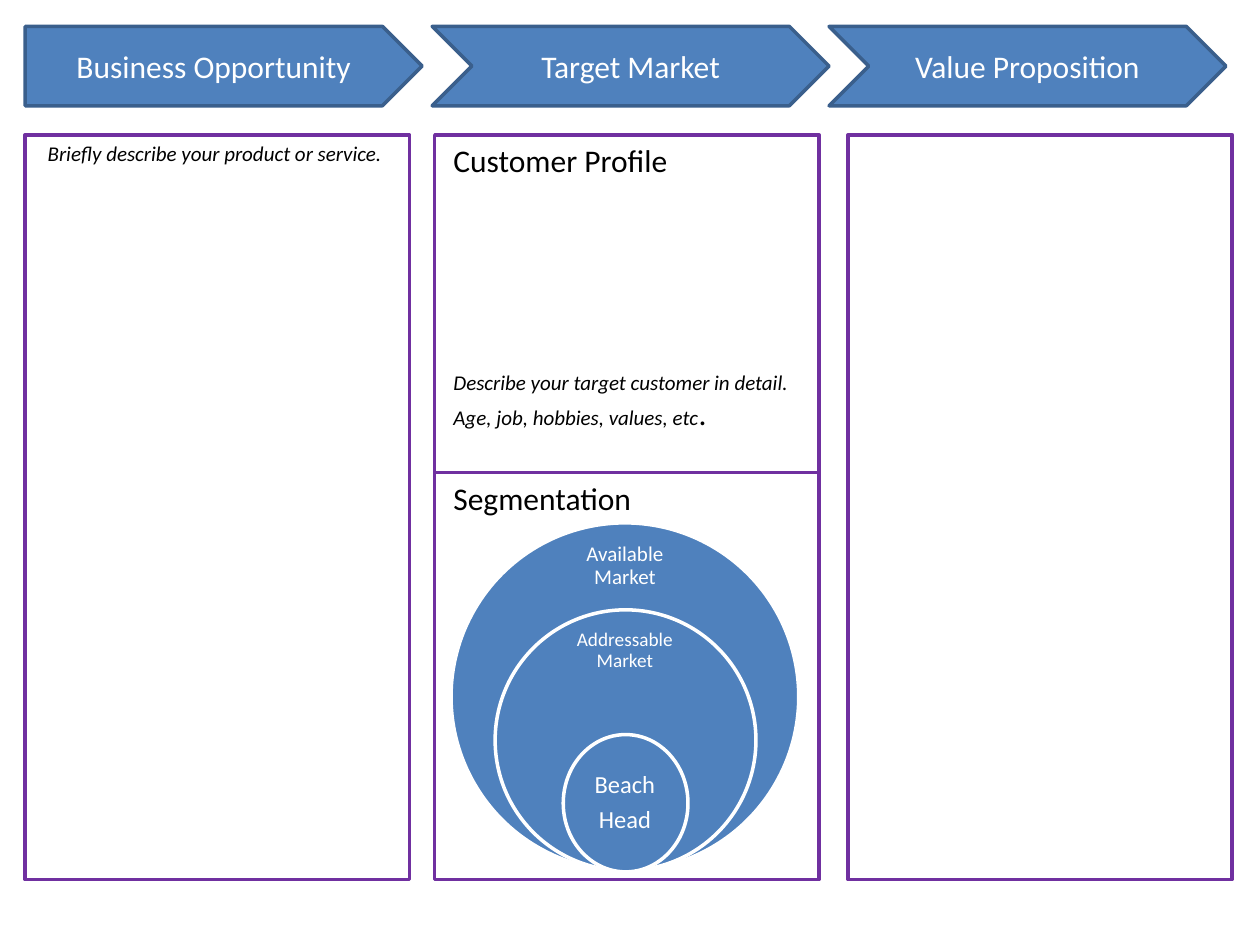
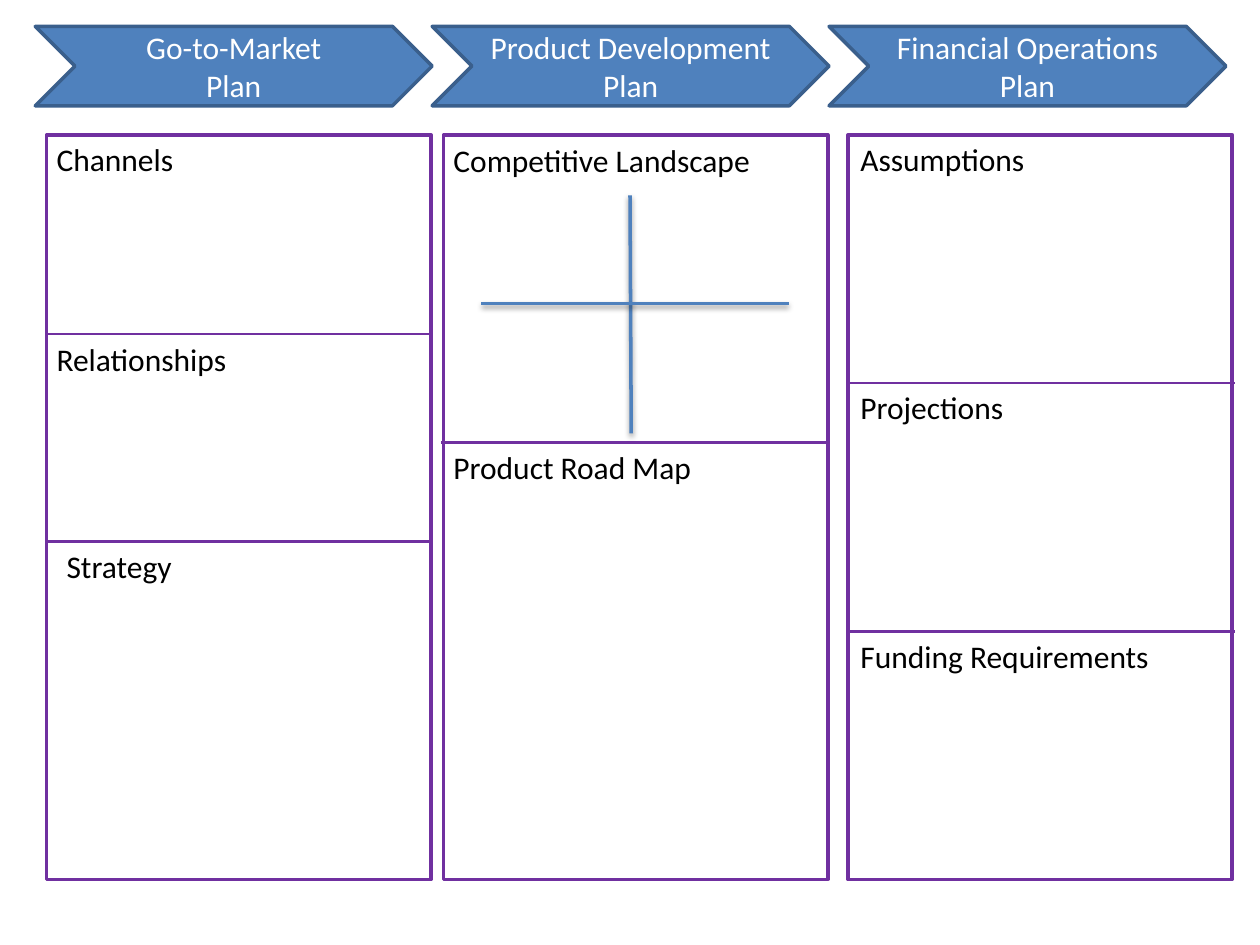
from lxml import etree
from pptx import Presentation
from pptx.dml.color import RGBColor
from pptx.enum.shapes import MSO_CONNECTOR, MSO_SHAPE
from pptx.enum.text import MSO_ANCHOR, MSO_AUTO_SIZE, PP_ALIGN
from pptx.oxml.ns import qn
from pptx.util import Emu, Pt

PX = 9144  # 100 px to the inch
FONT = "Calibri"
BLUE = RGBColor(0x4F, 0x81, 0xBD)
DARK_BLUE = RGBColor(0x3A, 0x5F, 0x8C)
PURPLE = RGBColor(0x70, 0x30, 0xA0)
WHITE = RGBColor(0xFF, 0xFF, 0xFF)
BLACK = RGBColor(0x00, 0x00, 0x00)

BANNER_TOP, BANNER_WIDTH, BANNER_HEIGHT = 21, 315, 63
PANEL_TOP, PANEL_WIDTH, PANEL_HEIGHT = 107, 305, 591
LABEL_INSET = 8


def px(*lengths):
    return [Emu(length * PX) for length in lengths]


def format_spans(para, size, color, italic=False):
    for span in para.runs:
        span.font.name = FONT
        span.font.size = Pt(size)
        span.font.color.rgb = color
        span.font.italic = italic


def add_outlined(page, kind, place, line_color, fill=None):
    shape = page.shapes.add_shape(kind, *px(*place))
    shape.shadow.inherit = False
    if fill is None:
        shape.fill.background()
    else:
        shape.fill.solid()
        shape.fill.fore_color.rgb = fill
    shape.line.color.rgb = line_color
    shape.line.width = Pt(2)
    return shape


def add_banner(page, left, title, kind=MSO_SHAPE.CHEVRON):
    place = (left, BANNER_TOP, BANNER_WIDTH, BANNER_HEIGHT)
    banner = add_outlined(page, kind, place, DARK_BLUE, BLUE)
    frame = banner.text_frame
    frame.text = title
    frame.word_wrap = True
    frame.vertical_anchor = MSO_ANCHOR.MIDDLE
    for para in frame.paragraphs:
        para.alignment = PP_ALIGN.CENTER
        format_spans(para, 18, WHITE)


def add_panel(page, left):
    place = (left, PANEL_TOP, PANEL_WIDTH, PANEL_HEIGHT)
    add_outlined(page, MSO_SHAPE.RECTANGLE, place, PURPLE)


def add_line(page, start, end, color, width):
    """Draw a straight line and return its empty effect list."""
    line = page.shapes.add_connector(MSO_CONNECTOR.STRAIGHT, *px(*start, *end))
    line.line.color.rgb = color
    line.line.width = Pt(width)
    return etree.SubElement(line._element.spPr, qn("a:effectLst"))


def add_divider(page, left, right, top):
    add_line(page, (left, top), (right, top), PURPLE, 1.5)


def add_axis(page, start, end):
    """Draw a blue line with a soft shadow below it."""
    effects = add_line(page, start, end, BLUE, 2)
    shadow = etree.SubElement(effects, qn("a:outerShdw"), blurRad=str(Pt(3.1)),
                              dist=str(Pt(1.6)), dir="5400000", rotWithShape="0")
    color = etree.SubElement(shadow, qn("a:srgbClr"), val=str(BLACK))
    etree.SubElement(color, qn("a:alpha"), val="38000")


def add_text(page, place, text, size=18, italic=False):
    box = page.shapes.add_textbox(*px(*place))
    frame = box.text_frame
    frame.text = text
    frame.word_wrap = True
    frame.auto_size = MSO_AUTO_SIZE.SHAPE_TO_FIT_TEXT
    format_spans(frame.paragraphs[0], size, BLACK, italic)
    return frame.paragraphs[0]


def add_heading(page, left, top, text):
    add_text(page, (left, top, 299, 40), text)


def add_market_circle(page, circle, label, text, size):
    add_outlined(page, MSO_SHAPE.OVAL, circle, WHITE, BLUE)
    frame = page.shapes.add_textbox(*px(*label)).text_frame
    frame.text = text
    frame.word_wrap = True
    frame.vertical_anchor = MSO_ANCHOR.MIDDLE
    frame.margin_left = frame.margin_right = Emu(LABEL_INSET * PX)
    frame.margin_top = frame.margin_bottom = Emu(LABEL_INSET * PX)
    for para in frame.paragraphs:
        para.alignment = PP_ALIGN.CENTER
        para.line_spacing = 0.9
        para.space_after = Pt(round(size * 0.35, 1))
        format_spans(para, size, WHITE)


def build_market_page(page):
    add_banner(page, 20, "Business Opportunity", MSO_SHAPE.PENTAGON)
    add_banner(page, 343, "Target Market")
    add_banner(page, 658, "Value Proposition")
    for left in (20, 345, 673):
        add_panel(page, left)

    add_market_circle(page, (358, 415, 276, 276), (448, 429, 96, 41), "Available Market", 12)
    add_market_circle(page, (393, 484, 207, 207), (448, 497, 96, 39), "Addressable Market", 11)
    add_market_circle(page, (447, 583, 99, 109), (456, 610, 80, 55), "Beach\nHead", 14)

    add_heading(page, 350, 107, "Customer Profile")
    hint = add_text(page, (350, 288, 291, 61),
                    "Describe your target customer in detail. Age, job, hobbies, values, etc", 12, True)
    stop = hint.add_run()
    stop.text = "."
    stop.font.name = FONT
    stop.font.size = Pt(18)
    stop.font.color.rgb = BLACK
    add_divider(page, 345, 650, 375)
    add_heading(page, 350, 375, "Segmentation")
    add_text(page, (28, 107, 291, 30), "Briefly describe your product or service.", 12, True)


def build_plan_page(page):
    add_banner(page, 28, "Go-to-Market\nPlan")
    add_banner(page, 343, "Product Development Plan")
    add_banner(page, 658, "Financial Operations Plan")
    for left in (37, 352, 673):
        add_panel(page, left)

    for left, right, tops in ((37, 343, (265, 430)), (350, 657, (351,)), (673, 980, (304, 501))):
        for top in tops:
            add_divider(page, left, right, top)

    for left, top, text in (
        (35, 106, "Channels"),
        (35, 265, "Relationships"),
        (43, 429, "Strategy"),
        (350, 107, "Competitive Landscape"),
        (350, 351, "Product Road Map"),
        (673, 106, "Assumptions"),
        (673, 303, "Projections"),
        (673, 501, "Funding Requirements"),
    ):
        add_heading(page, left, top, text)

    add_axis(page, (500, 155), (501, 344))
    add_axis(page, (382, 241), (626, 241))


def main():
    deck = Presentation()
    deck.slide_width, deck.slide_height = px(1000, 750)
    blank = deck.slide_layouts[6]
    for build in (build_market_page, build_plan_page):
        build(deck.slides.add_slide(blank))
    deck.save("out.pptx")


if __name__ == "__main__":
    main()
